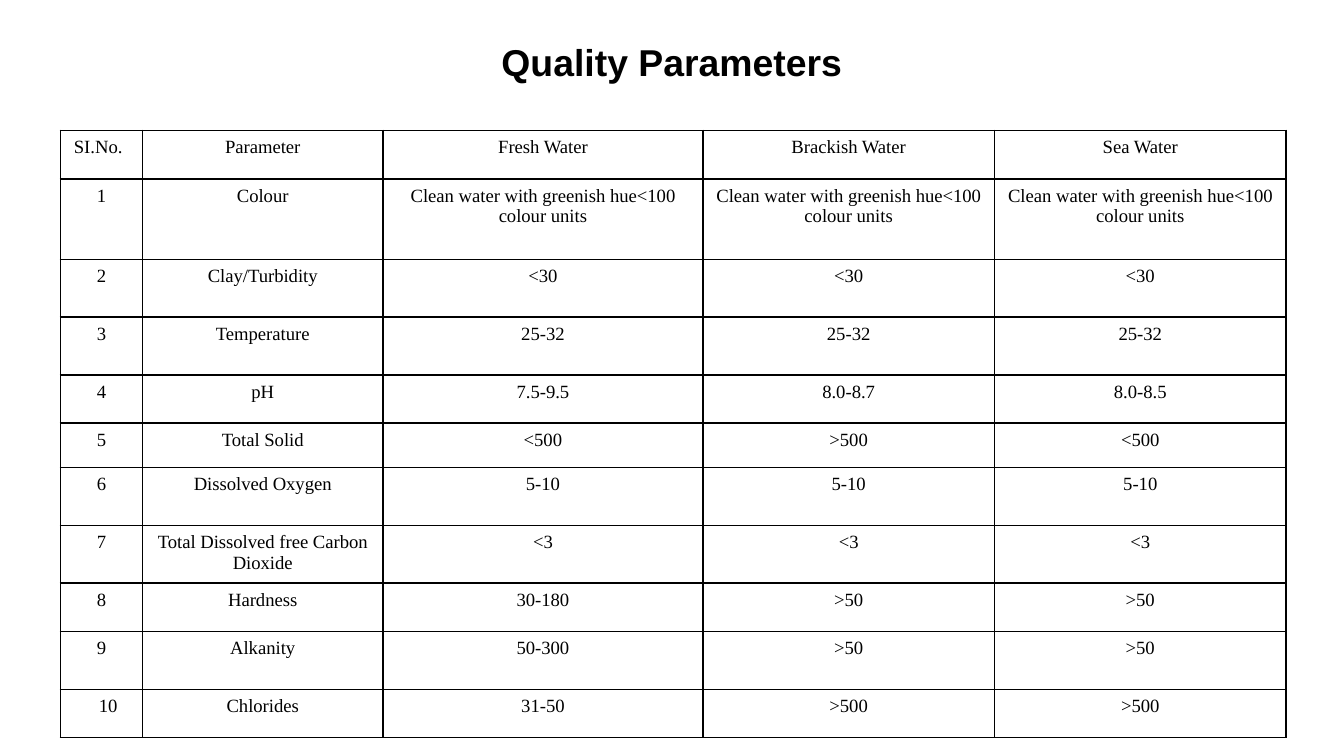
"""Build the Quality Parameters slide with its table of water values."""
from pptx import Presentation
from pptx.dml.color import RGBColor
from pptx.enum.text import MSO_ANCHOR, PP_ALIGN
from pptx.oxml import parse_xml
from pptx.oxml.ns import nsdecls
from pptx.util import Inches, Pt

BLACK = RGBColor(0, 0, 0)
WIDTH = 10
HEIGHT = WIDTH * 9 / 16
TITLE = "Quality Parameters"
HUE = "Clean water with greenish hue<100 colour units"
HEADER = ["SI.No.", "Parameter", "Fresh Water", "Brackish Water", "Sea Water"]
PARAMETERS = [
    ("Colour", HUE, HUE, HUE),
    ("Clay/Turbidity", "<30", "<30", "<30"),
    ("Temperature", "25-32", "25-32", "25-32"),
    ("pH", "7.5-9.5", "8.0-8.7", "8.0-8.5"),
    ("Total Solid", "<500", ">500", "<500"),
    ("Dissolved Oxygen", "5-10", "5-10", "5-10"),
    ("Total Dissolved free Carbon Dioxide", "<3", "<3", "<3"),
    ("Hardness", "30-180", ">50", ">50"),
    ("Alkanity", "50-300", ">50", ">50"),
    ("Chlorides", "31-50", ">500", ">500"),
]
COLUMNS = [0.61, 1.79, 2.38, 2.17, 2.17]
ROWS = [0.36, 0.6, 0.43, 0.43, 0.36, 0.33, 0.43, 0.43, 0.36, 0.43, 0.36]
LEFT, TOP = 0.45, 0.97


def style(p, font, size, bold=False, align=PP_ALIGN.CENTER):
    p.alignment = align
    for r in p.runs:
        r.font.name, r.font.size, r.font.bold = font, Pt(size), bold
        r.font.color.rgb = BLACK


def add_borders(cell):
    tcPr = cell._tc.get_or_add_tcPr()
    for i, side in enumerate(("lnL", "lnR", "lnT", "lnB")):
        tcPr.insert(i, parse_xml(
            f'<a:{side} {nsdecls("a")} w="{Pt(1)}"><a:solidFill>'
            f'<a:srgbClr val="{BLACK}"/></a:solidFill></a:{side}>'))


def add_title(s):
    sp = s.shapes.title
    sp.left, sp.top = Inches(WIDTH / 4), Inches(0.24)
    sp.width, sp.height = Inches(WIDTH / 2), Inches(0.44)
    tf = sp.text_frame
    tf.text = TITLE
    tf.vertical_anchor = MSO_ANCHOR.MIDDLE
    style(tf.paragraphs[0], "Arial", 20, bold=True)


def add_parameter_table(s):
    rows = [HEADER] + [(str(n), *row) for n, row in enumerate(PARAMETERS, 1)]
    table = s.shapes.add_table(
        len(ROWS), len(COLUMNS), Inches(LEFT), Inches(TOP),
        Inches(sum(COLUMNS)), Inches(sum(ROWS))).table
    table.first_row = table.horz_banding = False
    for column, width in zip(table.columns, COLUMNS):
        column.width = Inches(width)
    for row, height, texts in zip(table.rows, ROWS, rows):
        row.height = Inches(height)
        for cell, text in zip(row.cells, texts):
            cell.text = text
            cell.fill.background()
            add_borders(cell)
            align = PP_ALIGN.LEFT if text == HEADER[0] else PP_ALIGN.CENTER
            style(cell.text_frame.paragraphs[0], "Times New Roman", 10, align=align)
    table.cell(len(PARAMETERS), 0).margin_left = Inches(0.2)


def main():
    prs = Presentation()
    prs.slide_width, prs.slide_height = Inches(WIDTH), Inches(HEIGHT)
    s = prs.slides.add_slide(prs.slide_layouts[5])
    add_title(s)
    add_parameter_table(s)
    prs.save("out.pptx")


if __name__ == "__main__":
    main()
